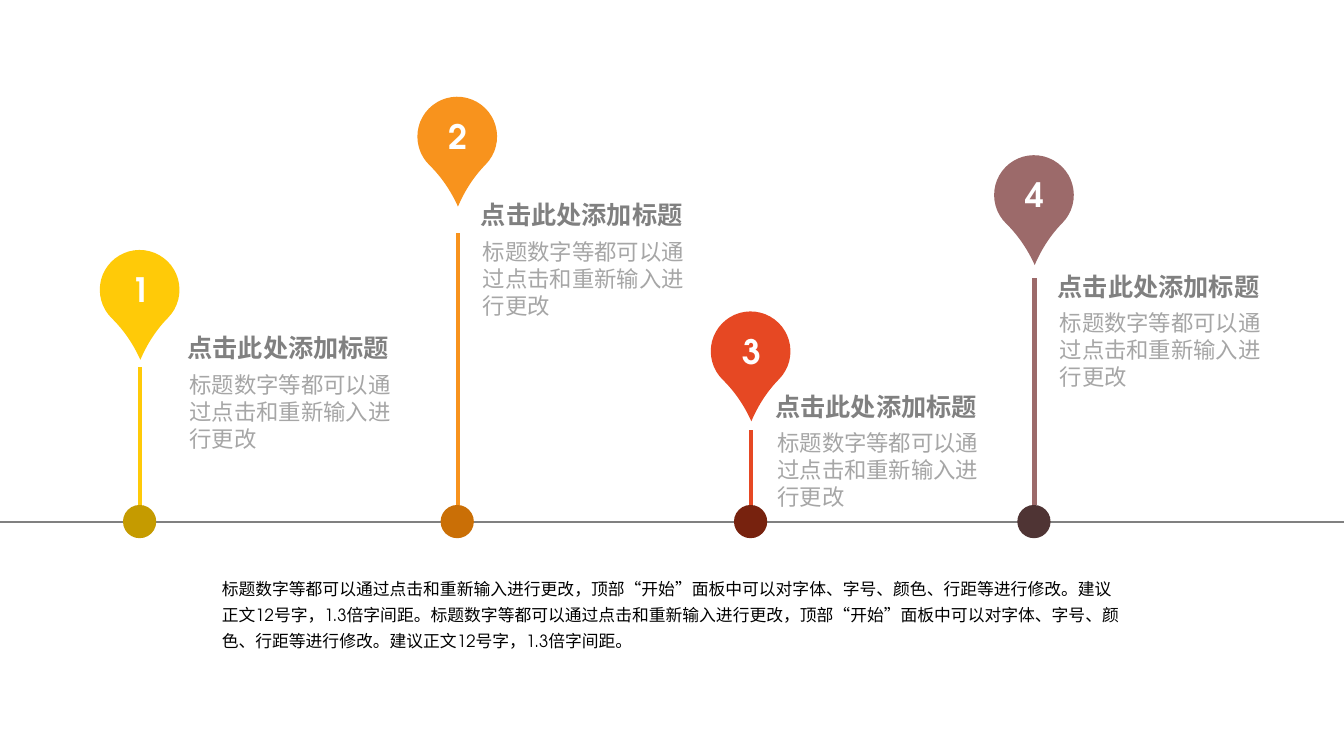
from dataclasses import dataclass

import lxml.etree
import pptx
import pptx.dml.color
import pptx.enum.shapes
import pptx.enum.text
import pptx.oxml.ns
import pptx.util

EMU_PER_PX = 9144  # 100 px to the inch
BODY_FONT = "TeX Gyre Adventor"
TITLE_FONT = "Open Sans"
AXIS_Y = 518
DOT_SIZE = 33
PIN_SIZE = 79
STEM_BOTTOM = 501
TITLE = "点击此处添加标题"
BODY = "标题数字等都可以通过点击和重新输入进行更改"
NOTE = BODY + "，顶部“开始”面板中可以对字体、字号、颜色、行距等进行修改。建议正文12号字，1.3倍字间距。"


@dataclass(frozen=True)
class Milestone:
    number: str
    center_x: int
    pin_top: int
    stem_top: int
    title_left: int
    title_top: int
    color: str
    dot_color: str


@dataclass(frozen=True)
class TextStyle:
    font: str
    size: int
    color: str
    bold: bool = False
    centered: bool = False
    wrap: bool = True
    inset_x: int = 7
    inset_y: int = 4
    line_spacing: float = 1.0


MILESTONES = [
    Milestone("1", 139, 248, 364, 179, 326, "FFCA08", "C59B00"),
    Milestone("2", 454, 96, 231, 470, 194, "F8931D", "CA6F06"),
    Milestone("3", 745, 309, 427, 762, 384, "E64823", "77220E"),
    Milestone("4", 1026, 154, 276, 1042, 265, "9C6A6A", "4F3434"),
]

NUMBER_STYLE = TextStyle(BODY_FONT, 24, "FFFFFF", bold=True, centered=True, inset_x=10, inset_y=5)
TITLE_STYLE = TextStyle(TITLE_FONT, 18, "808080", bold=True, wrap=False)
BODY_STYLE = TextStyle(BODY_FONT, 16, "A6A6A6")
NOTE_STYLE = TextStyle(BODY_FONT, 12, "000000", line_spacing=1.3)


def px(length: int) -> pptx.util.Emu:
    return pptx.util.Emu(length * EMU_PER_PX)


def rgb(color: str) -> pptx.dml.color.RGBColor:
    return pptx.dml.color.RGBColor.from_string(color)


def add_text(shapes, left: int, top: int, width: int, height: int, text: str, style: TextStyle) -> None:
    box = shapes.add_textbox(px(left), px(top), px(width), px(height))
    frame = box.text_frame
    frame.text = text
    frame.word_wrap = style.wrap
    frame.auto_size = pptx.enum.text.MSO_AUTO_SIZE.SHAPE_TO_FIT_TEXT
    frame.margin_left = frame.margin_right = px(style.inset_x)
    frame.margin_top = frame.margin_bottom = px(style.inset_y)
    paragraph = frame.paragraphs[0]
    paragraph.line_spacing = style.line_spacing
    if style.centered:
        paragraph.alignment = pptx.enum.text.PP_ALIGN.CENTER
    font = paragraph.runs[0].font
    font.name = style.font
    font.size = pptx.util.Pt(style.size)
    font.bold = style.bold
    font.color.rgb = rgb(style.color)


def add_filled_shape(shapes, kind, left: int, top: int, size: int, color: str):
    shape = shapes.add_shape(kind, px(left), px(top), px(size), px(size))
    shape.shadow.inherit = False
    shape.fill.solid()
    shape.fill.fore_color.rgb = rgb(color)
    shape.line.fill.background()
    return shape


def add_line(shapes, start: tuple[int, int], end: tuple[int, int], color: str, width: int) -> None:
    connector = shapes.add_connector(
        pptx.enum.shapes.MSO_CONNECTOR.STRAIGHT, *map(px, start + end)
    )
    connector.line.color.rgb = rgb(color)
    connector.line.width = pptx.util.Pt(width)
    properties = connector._element.spPr
    lxml.etree.SubElement(properties, pptx.oxml.ns.qn("a:effectLst"))


def add_pin(shapes, milestone: Milestone) -> None:
    group = shapes.add_group_shape()
    left = milestone.center_x - 40
    drop = add_filled_shape(
        group.shapes, pptx.enum.shapes.MSO_SHAPE.TEAR,
        left, milestone.pin_top, PIN_SIZE, milestone.color,
    )
    drop.adjustments[0] = 1.243
    drop.rotation = 134.4
    add_text(group.shapes, left, milestone.pin_top + 14, 81, 50, milestone.number, NUMBER_STYLE)


def add_milestone(shapes, milestone: Milestone) -> None:
    add_filled_shape(
        shapes, pptx.enum.shapes.MSO_SHAPE.OVAL,
        milestone.center_x - 17, STEM_BOTTOM, DOT_SIZE, milestone.dot_color,
    )
    add_pin(shapes, milestone)
    add_text(shapes, milestone.title_left + 2, milestone.title_top + 38, 215, 88, BODY, BODY_STYLE)
    add_text(shapes, milestone.title_left, milestone.title_top, 217, 38, TITLE, TITLE_STYLE)
    add_line(
        shapes, (milestone.center_x, STEM_BOTTOM), (milestone.center_x, milestone.stem_top),
        milestone.color, 3,
    )


def main() -> None:
    presentation = pptx.Presentation()
    presentation.slide_width = px(1333)
    presentation.slide_height = px(750)
    slide = presentation.slides.add_slide(presentation.slide_layouts[6])
    add_line(slide.shapes, (0, AXIS_Y), (1333, AXIS_Y), "808080", 1)
    for milestone in MILESTONES:
        add_milestone(slide.shapes, milestone)
    add_text(slide.shapes, 213, 564, 907, 84, NOTE * 2, NOTE_STYLE)
    presentation.save("out.pptx")


if __name__ == "__main__":
    main()
